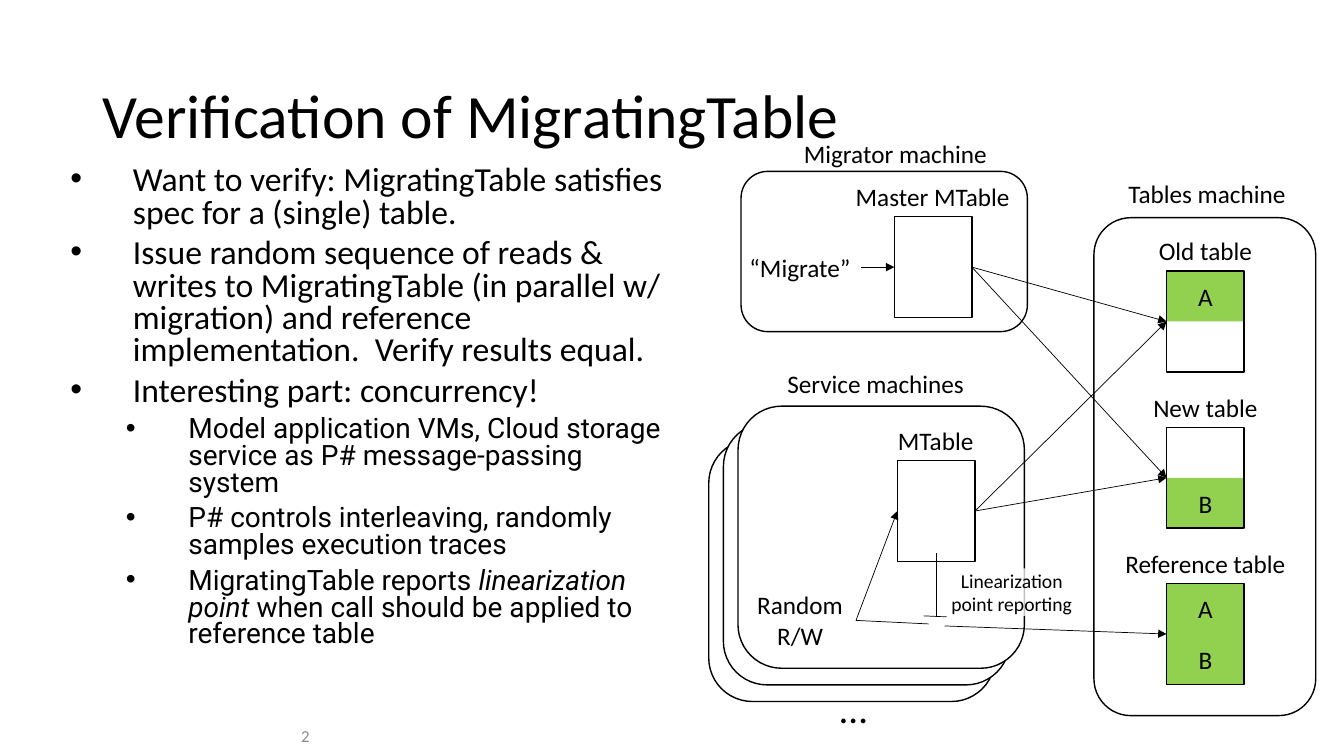
from pptx import Presentation
from pptx.dml.color import RGBColor
from pptx.enum import shapes, text
from pptx.oxml.ns import qn
from pptx.util import Inches, Pt
from lxml import etree

BLACK = RGBColor(0, 0, 0)
WHITE = RGBColor(255, 255, 255)
GREEN = RGBColor(0x92, 0xD0, 0x50)
GREY = RGBColor(0x8C, 0x8C, 0x8C)
TOP, LEFT, BOTTOM, RIGHT = range(4)
TABLE_WIDTH, CELL_HEIGHT = 0.77, 0.5
RECT = shapes.MSO_SHAPE.RECTANGLE
ROUNDED = shapes.MSO_SHAPE.ROUNDED_RECTANGLE
CENTER = text.PP_ALIGN.CENTER

BULLETS = [
    (24, "Calibri", 0.65, ["Want to verify: MigratingTable satisfies spec for a (single) table."]),
    (24, "Calibri", 0.65, ["Issue random sequence of reads & writes to MigratingTable (in parallel w/ "
                           "migration) and reference implementation.  Verify results equal."]),
    (24, "Calibri", 0.65, ["Interesting part: concurrency!"]),
    (20, "Roboto", 1.2, ["Model application VMs, Cloud storage service as P# message-passing system"]),
    (20, "Roboto", 1.2, ["P# controls interleaving, randomly samples execution traces"]),
    (20, "Roboto", 1.2, ["MigratingTable reports ", "linearization point",
                         " when call should be applied to reference table"]),
]


def add_span(para, words, size, font="Calibri", color=BLACK, italic=False):
    """Append one styled run to a paragraph."""
    span = para.add_run()
    span.text = words
    span.font.size = Pt(size)
    span.font.name = font
    span.font.color.rgb = color
    span.font.italic = italic


def add_text(page, words, left, top, width, height, size=18, align=CENTER, wrap=False,
             anchor=text.MSO_ANCHOR.TOP, color=BLACK):
    """Add a text box holding one paragraph."""
    box = page.shapes.add_textbox(Inches(left), Inches(top), Inches(width), Inches(height))
    box.text_frame.word_wrap = wrap
    box.text_frame.vertical_anchor = anchor
    para = box.text_frame.paragraphs[0]
    para.alignment = align
    add_span(para, words, size, color=color)
    return box


def add_box(page, kind, left, top, width, height, fill=None, outlined=True, words="", size=18):
    """Add a flat shape with optional fill, outline and centred text."""
    box = page.shapes.add_shape(kind, Inches(left), Inches(top), Inches(width), Inches(height))
    box.shadow.inherit = False
    if fill is None:
        box.fill.background()
    else:
        box.fill.solid()
        box.fill.fore_color.rgb = fill
    if outlined:
        box.line.color.rgb = BLACK
        box.line.width = Pt(1)
    else:
        box.line.fill.background()
    if words:
        para = box.text_frame.paragraphs[0]
        para.alignment = CENTER
        add_span(para, words, size)
    return box


def add_line(page, start, end, arrow=True):
    """Join two ends, each a point or a (shape, side) pair."""
    points = [(0, 0) if hasattr(end_[0], "shape_id") else end_ for end_ in (start, end)]
    (x1, y1), (x2, y2) = points
    line = page.shapes.add_connector(shapes.MSO_CONNECTOR.STRAIGHT,
                                     Inches(x1), Inches(y1), Inches(x2), Inches(y2))
    if hasattr(start[0], "shape_id"):
        line.begin_connect(*start)
    if hasattr(end[0], "shape_id"):
        line.end_connect(*end)
    line.line.color.rgb = BLACK
    line.line.width = Pt(0.5)
    if arrow:
        etree.SubElement(line.line._get_or_add_ln(), qn("a:tailEnd"), type="triangle")
    etree.SubElement(line._element.spPr, qn("a:effectLst"))


def add_table_icon(page, left, top, cells=()):
    """Add a two-cell table icon and return its outline."""
    for row, words in enumerate(cells):
        if words:
            add_box(page, RECT, left, top + row * CELL_HEIGHT, TABLE_WIDTH, CELL_HEIGHT,
                    GREEN, False, words)
    return add_box(page, RECT, left, top, TABLE_WIDTH, 2 * CELL_HEIGHT)


def add_bullets(page):
    """Add the bulleted body text."""
    box = page.shapes.add_textbox(Inches(0.57), Inches(1.6), Inches(6.2), Inches(4.66))
    frame = box.text_frame
    frame.word_wrap = True
    for number, (size, font, indent, spans) in enumerate(BULLETS):
        para = frame.add_paragraph() if number else frame.paragraphs[0]
        para.line_spacing = 0.8
        para.space_before = Pt(6)
        properties = para._p.get_or_add_pPr()
        properties.set("marL", str(Inches(indent)))
        properties.set("indent", str(Inches(-0.62)))
        etree.SubElement(properties, qn("a:buFont"), typeface="Arial")
        etree.SubElement(properties, qn("a:buChar"), char="•")
        for position, words in enumerate(spans):
            add_span(para, words, size, font, italic=position == 1)


def add_reporting_note(page):
    """Add the translucent note beside the reporting line."""
    note = add_box(page, RECT, 9.42, 5.64, 1.23, 0.47, WHITE, False,
                   "Linearization point reporting", 14)
    frame = note.text_frame
    frame.margin_left = frame.margin_right = frame.margin_top = frame.margin_bottom = 0
    color = note._element.spPr.find(qn("a:solidFill"))[0]
    etree.SubElement(color, qn("a:alpha"), val="75000")


def add_tables_machine(page):
    """Add the tables machine and return its three tables."""
    add_box(page, ROUNDED, 10.85, 2.16, 2.2, 4.94)
    add_text(page, "Tables machine", 11.08, 1.72, 1.78, 0.4)
    tables = []
    rows = [("Old table", ("A", "")), ("New table", ("", "B")), ("Reference table", ("A", "B"))]
    for number, (name, cells) in enumerate(rows):
        top = 2.69 + 1.55 * number
        add_text(page, name, 11.05, top - 0.4, 1.81, 0.4)
        tables.append(add_table_icon(page, 11.57, top, cells))
    return tables


def add_service_machines(page, old, new, reference):
    """Add the stacked service machines with their calls."""
    for step in range(3):
        add_box(page, ROUNDED, 7.03 + 0.145 * step, 4.36 - 0.165 * step, 2.84, 2.6, WHITE)
    add_text(page, "Service machines", 7.7, 3.6, 1.97, 0.4)
    add_text(page, "…", 8.23, 6.74, 0.47, 0.57, 28)
    add_text(page, "MTable", 8.8, 4.17, 0.96, 0.4)
    table = add_table_icon(page, 8.9, 4.57)
    caller = add_text(page, "Random R/W", 7.38, 5.8, 1.11, 0.71, wrap=True)
    for target in (old, new):
        add_line(page, (table, RIGHT), (target, LEFT))
    add_line(page, (caller, RIGHT), (table, LEFT))
    add_line(page, (caller, RIGHT), (9.21, 6.19), False)
    add_line(page, (9.37, 6.21), (reference, LEFT))
    add_line(page, (9.16, 6.11), (9.39, 6.12), False)
    add_line(page, (9.29, 6.11), (9.29, 5.49), False)
    add_reporting_note(page)


def add_migrator_machine(page, old, new):
    """Add the migrator machine with its calls."""
    add_box(page, ROUNDED, 7.35, 1.7, 2.84, 1.59, WHITE)
    add_text(page, "Migrator machine", 7.86, 1.32, 2.04, 0.4)
    add_text(page, "Master MTable", 8.38, 1.75, 1.74, 0.4)
    table = add_table_icon(page, 8.87, 2.15)
    command = add_text(page, "“Migrate”", 7.33, 2.45, 1.21, 0.4)
    add_line(page, (command, RIGHT), (table, LEFT))
    for target in (old, new):
        add_line(page, (table, RIGHT), (target, LEFT))


def main():
    """Build and save the slide."""
    deck = Presentation()
    deck.slide_width, deck.slide_height = Inches(13.33), Inches(7.5)
    page = deck.slides.add_slide(deck.slide_layouts[6])
    middle = text.MSO_ANCHOR.MIDDLE
    add_text(page, "Verification of MigratingTable", 0.92, 0.4, 11.5, 1.45, 44,
             text.PP_ALIGN.LEFT, True, middle)
    add_bullets(page)
    add_text(page, "2", 0.17, 7.1, 3, 0.4, 12, text.PP_ALIGN.RIGHT, True, middle, GREY)
    old, new, reference = add_tables_machine(page)
    add_service_machines(page, old, new, reference)
    add_migrator_machine(page, old, new)
    deck.save("out.pptx")


if __name__ == "__main__":
    main()
